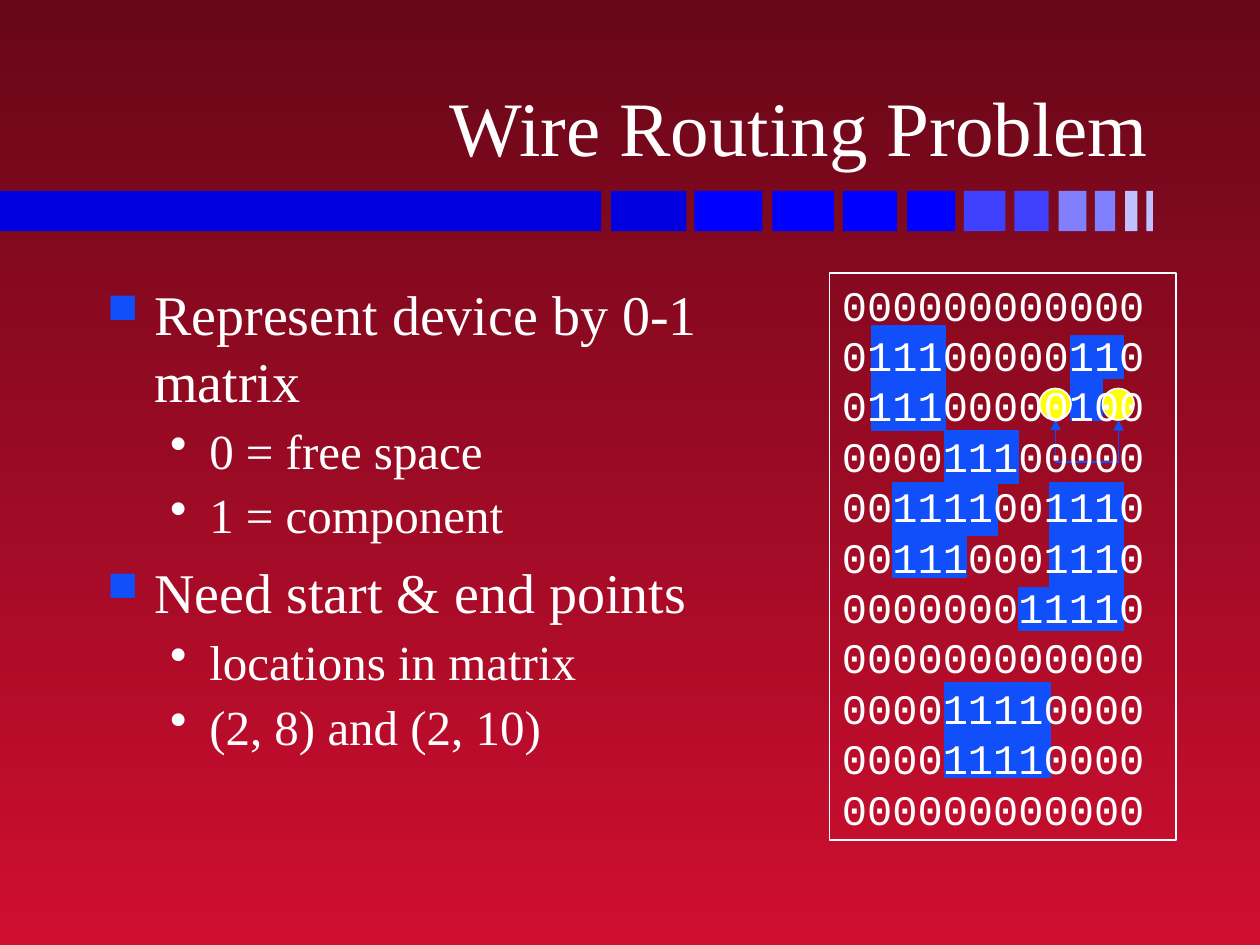
from pptx import Presentation
from pptx.dml.color import RGBColor
from pptx.enum.shapes import MSO_CONNECTOR as Connector, MSO_SHAPE as Shape
from pptx.enum.text import MSO_ANCHOR as Anchor, MSO_AUTO_SIZE as AutoSize, PP_ALIGN as Align
from pptx.oxml.ns import qn
from pptx.util import Cm, Pt
from lxml.etree import SubElement

THEME = {
    "top": "670718", "bottom": "CF0E30", "text": "FFFFFF",
    "block": "114FFB", "endpoint": "FFFF00",
    "bars": ["0000E0", "0000FF", "4040FF", "8080FF", "C0C0FF"],
    "serif": "Times New Roman", "mono": "Courier New",
    "title_size": 44, "level_sizes": [32, 28], "matrix_size": 24,
}
GRID = Cm(2.54) / 12  # the drawing sits on a grid of twelfths


def add_box(kind, box, fill=None, line=None):
    shape = slide.shapes.add_shape(kind, *[round(length) for length in box])
    shape.shadow.inherit = False
    if fill:
        shape.fill.solid()
        shape.fill.fore_color.rgb = RGBColor.from_string(fill)
    else:
        shape.fill.background()
    if line:
        shape.line.color.rgb = RGBColor.from_string(line)
        shape.line.width = Pt(1)
    else:
        shape.line.fill.background()
    return shape


def write(paragraph, text, font, size, **paragraph_format):
    paragraph.text = text
    for name, value in paragraph_format.items():
        setattr(paragraph, name, value)
    for run in paragraph.runs:
        run.font.color.rgb = RGBColor.from_string(THEME["text"])
        for name, value in {"name": font, "size": Pt(size)}.items():
            setattr(run.font, name, value)


presentation = Presentation()
presentation.slide_width, presentation.slide_height = Cm(25.4), Cm(19.05)
slide = presentation.slides.add_slide(presentation.slide_layouts[5])

# Background gradient, dark at the top
background = slide.background.fill
background.gradient()
background.gradient_angle = 270
for stop, name in zip(background.gradient_stops, ("top", "bottom")):
    stop.color.rgb = RGBColor.from_string(THEME[name])

# Title
title = slide.shapes.title
title.left, title.top, title.width, title.height = Cm(1.87), Cm(0.48), Cm(21.54), Cm(3.12)
title.text_frame.auto_size = AutoSize.NONE
title.text_frame.vertical_anchor = Anchor.BOTTOM
write(title.text_frame.paragraphs[0], "Wire Routing Problem", THEME["serif"],
      THEME["title_size"], alignment=Align.RIGHT)

# Bars under the title: left, width, colour index
bars = [
    (0, 12.12, 0), (12.32, 1.52, 0),
    (14, 1.37, 1), (15.57, 1.24, 1), (16.99, 1.09, 1), (18.29, 0.97, 1),
    (19.43, 0.84, 2), (20.45, 0.69, 2),
    (21.34, 0.56, 3), (22.07, 0.41, 3),
    (22.68, 0.25, 4), (23.11, 0.13, 4),
]
for left, width, colour in bars:
    add_box(Shape.RECTANGLE, (Cm(left), Cm(3.85), Cm(width), Cm(0.81)), THEME["bars"][colour])

# Component blocks behind the ones, in grid units
blocks = [
    (83, 31, 7, 10), (102, 32, 5, 4), (102, 36, 3, 4),
    (90, 41, 7, 5), (85, 46, 10, 5), (85, 51, 7, 4),
    (100, 46, 7, 14), (97, 56, 3, 4), (90, 65, 10, 9),
]
for block in blocks:
    add_box(Shape.RECTANGLE, [GRID * unit for unit in block], THEME["block"], THEME["block"])

# Start and end points
for column in (99, 105):
    add_box(Shape.OVAL, [GRID * unit for unit in (column, 37, 3, 3)],
            THEME["endpoint"], THEME["text"])

# Wire: an elbow turned a quarter, dipping below both points
wire = slide.shapes.add_connector(Connector.ELBOW, Cm(21.92), Cm(7.83), Cm(21.91), Cm(9.1))
wire.line.color.rgb = RGBColor.from_string(THEME["block"])
wire.line.width = Pt(1)
properties = wire.element.spPr
properties.find(qn("a:xfrm")).set("rot", str(270 * 60000))
adjustments = properties.find(qn("a:prstGeom")).get_or_add_avLst()
SubElement(adjustments, qn("a:gd"), name="adj1", fmla="val 8500000")
for end in ("a:headEnd", "a:tailEnd"):
    SubElement(properties.find(qn("a:ln")), qn(end), type="triangle", w="med", len="med")
SubElement(properties, qn("a:effectLst"))

# Bulleted text
levels = [
    {"margin": 0.95, "indent": -0.95, "before": 8, "mark": "■", "colour": "block", "scale": 75},
    {"margin": 2.06, "indent": -0.79, "before": 3.5, "mark": "•", "colour": "text", "scale": 100},
]
points = [
    (0, "Represent device by 0-1\vmatrix"),
    (1, "0 = free space"),
    (1, "1 = component"),
    (0, "Need start & end points"),
    (1, "locations in matrix"),
    (1, "(2, 8) and (2, 10)"),
]
body = slide.shapes.add_textbox(Cm(1.91), Cm(5.51), Cm(21.59), Cm(11.43)).text_frame
body.word_wrap = True
for index, (level, text) in enumerate(points):
    style = levels[level]
    paragraph = body.add_paragraph() if index else body.paragraphs[0]
    write(paragraph, text, THEME["serif"], THEME["level_sizes"][level], level=level,
          space_before=Pt(style["before"] if index else 0))
    bullet = paragraph._p.get_or_add_pPr()
    bullet.set("marL", str(Cm(style["margin"])))
    bullet.set("indent", str(Cm(style["indent"])))
    SubElement(SubElement(bullet, qn("a:buClr")), qn("a:srgbClr"), val=THEME[style["colour"]])
    SubElement(bullet, qn("a:buSzPct"), val=str(style["scale"] * 1000))
    SubElement(bullet, qn("a:buChar"), char=style["mark"])

# Device matrix in its frame
rows = [
    "000000000000",
    "011100000110",
    "011100000100",
    "000011100000",
    "001111001110",
    "001110001110",
    "000000011110",
    "000000000000",
    "000011110000",
    "000011110000",
    "000000000000",
]
matrix = add_box(Shape.RECTANGLE, [GRID * unit for unit in (79, 26, 33, 54)],
                 line=THEME["text"]).text_frame
matrix.vertical_anchor = Anchor.TOP
for index, row in enumerate(rows):
    paragraph = matrix.add_paragraph() if index else matrix.paragraphs[0]
    write(paragraph, row, THEME["mono"], THEME["matrix_size"], alignment=Align.LEFT)

presentation.save("out.pptx")
